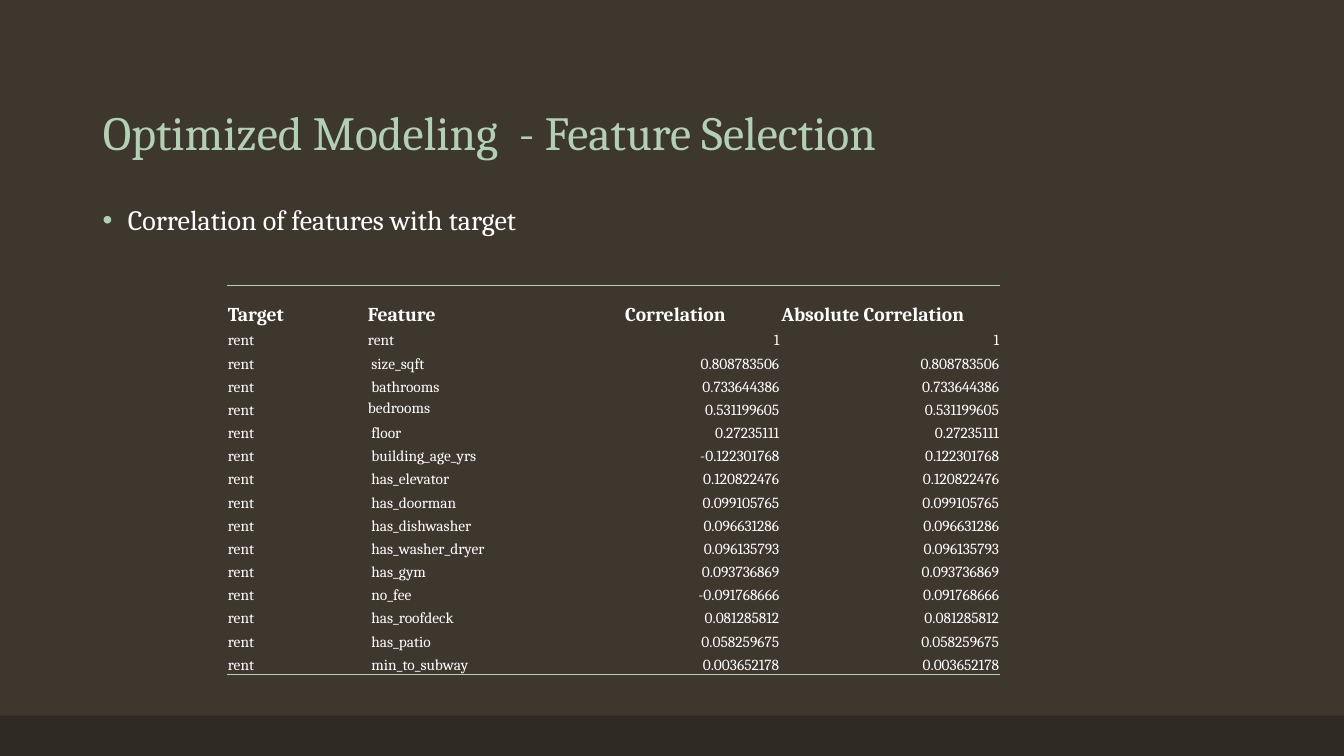
from lxml.etree import SubElement
from pptx import Presentation
from pptx.dml.color import RGBColor
from pptx.enum.shapes import MSO_SHAPE
from pptx.enum.text import MSO_ANCHOR, MSO_AUTO_SIZE, PP_ALIGN
from pptx.oxml import parse_xml
from pptx.oxml.ns import nsdecls, qn
from pptx.util import Inches, Pt

BACKGROUND = RGBColor(0x3D, 0x37, 0x2E)
FOOTER = RGBColor(0x2E, 0x29, 0x23)
GREEN = RGBColor(0xB2, 0xD0, 0xB4)
WHITE = RGBColor(0xFF, 0xFF, 0xFF)
NO_STYLE_NO_GRID = "{2D5ABB26-0587-4C30-8999-92F81FD0307C}"

HEADERS = ["Target", "Feature", "Correlation", "Absolute Correlation"]
CORRELATIONS = [
    ("rent", "1"),
    (" size_sqft", "0.808783506"),
    (" bathrooms", "0.733644386"),
    ("bedrooms", "0.531199605"),
    (" floor", "0.27235111"),
    (" building_age_yrs", "-0.122301768"),
    (" has_elevator", "0.120822476"),
    (" has_doorman", "0.099105765"),
    (" has_dishwasher", "0.096631286"),
    (" has_washer_dryer", "0.096135793"),
    (" has_gym", "0.093736869"),
    (" no_fee", "-0.091768666"),
    (" has_roofdeck", "0.081285812"),
    (" has_patio", "0.058259675"),
    (" min_to_subway", "0.003652178"),
]
COLUMN_WIDTHS = [1.39, 2.55, 1.55, 2.18]
HEADER_HEIGHT, ROW_HEIGHT = 0.41, 0.23


def write(tf, text, size, color=WHITE, bold=False, align=PP_ALIGN.LEFT, spacing=None):
    p = tf.paragraphs[0]
    p.alignment = align
    p.line_spacing = spacing
    r = p.add_run()
    r.text = text
    r.font.name = "Cambria"
    r.font.size = Pt(size)
    r.font.bold = bold
    r.font.color.rgb = color
    return p


def add_border(cell, side):
    """Draw a thin green line on one side of a cell: "T" or "B"."""
    line = parse_xml(
        f'<a:ln{side} {nsdecls("a")} w="12700"><a:solidFill>'
        f'<a:srgbClr val="{GREEN}"/></a:solidFill></a:ln{side}>'
    )
    cell._tc.get_or_add_tcPr().insert(0, line)


prs = Presentation()
prs.slide_width = Inches(13.33)
prs.slide_height = Inches(7.5)
s = prs.slides.add_slide(prs.slide_layouts[5])
s.background.fill.solid()
s.background.fill.fore_color.rgb = BACKGROUND

# Footer band
band = s.shapes.add_shape(
    MSO_SHAPE.RECTANGLE, 0, Inches(7.1), Inches(13.33), Inches(0.4)
)
band.shadow.inherit = False
band.fill.solid()
band.fill.fore_color.rgb = FOOTER
band.line.fill.background()

# Title
title = s.shapes.title
title.left, title.top = Inches(0.92), Inches(0.4)
title.width, title.height = Inches(11.5), Inches(1.25)
tf = title.text_frame
tf.auto_size = MSO_AUTO_SIZE.NONE
tf.vertical_anchor = MSO_ANCHOR.BOTTOM
write(tf, "Optimized Modeling  - Feature Selection", 34, GREEN, spacing=0.9)

# Bullet
body = s.shapes.add_textbox(Inches(0.92), Inches(2), Inches(11.5), Inches(4.76))
body.text_frame.word_wrap = True
p = write(body.text_frame, "Correlation of features with target", 20, spacing=0.9)
p.space_before = Pt(18)
pPr = p._p.get_or_add_pPr()
pPr.set("marL", str(Inches(0.25)))
pPr.set("indent", str(Inches(-0.25)))
SubElement(SubElement(pPr, qn("a:buClr")), qn("a:srgbClr")).set("val", str(GREEN))
SubElement(pPr, qn("a:buFont")).set("typeface", "Arial")
SubElement(pPr, qn("a:buChar")).set("char", "•")

# Correlation table
rows = [HEADERS] + [
    ["rent", feature, value, value.lstrip("-")] for feature, value in CORRELATIONS
]
table = s.shapes.add_table(
    len(rows), len(HEADERS), Inches(2.25), Inches(2.83), Inches(7.67), Inches(3.84)
).table
table.first_row = table.horz_banding = False
table._tbl.tblPr.find(qn("a:tableStyleId")).text = NO_STYLE_NO_GRID
for column, width in zip(table.columns, COLUMN_WIDTHS):
    column.width = Inches(width)

for i, row in enumerate(rows):
    is_header = i == 0
    table.rows[i].height = Inches(HEADER_HEIGHT if is_header else ROW_HEIGHT)
    for j, text in enumerate(row):
        cell = table.cell(i, j)
        cell.fill.background()
        cell.margin_left = cell.margin_right = cell.margin_top = Inches(0.01)
        cell.margin_bottom = 0
        cell.vertical_anchor = (
            MSO_ANCHOR.MIDDLE if text == "bedrooms" else MSO_ANCHOR.BOTTOM
        )
        is_number = j >= 2 and not is_header
        write(
            cell.text_frame, text, 14 if is_header else 11, bold=is_header,
            align=PP_ALIGN.RIGHT if is_number else PP_ALIGN.LEFT,
        )
        if is_header:
            add_border(cell, "T")
        elif i == len(rows) - 1:
            add_border(cell, "B")

prs.save("out.pptx")
